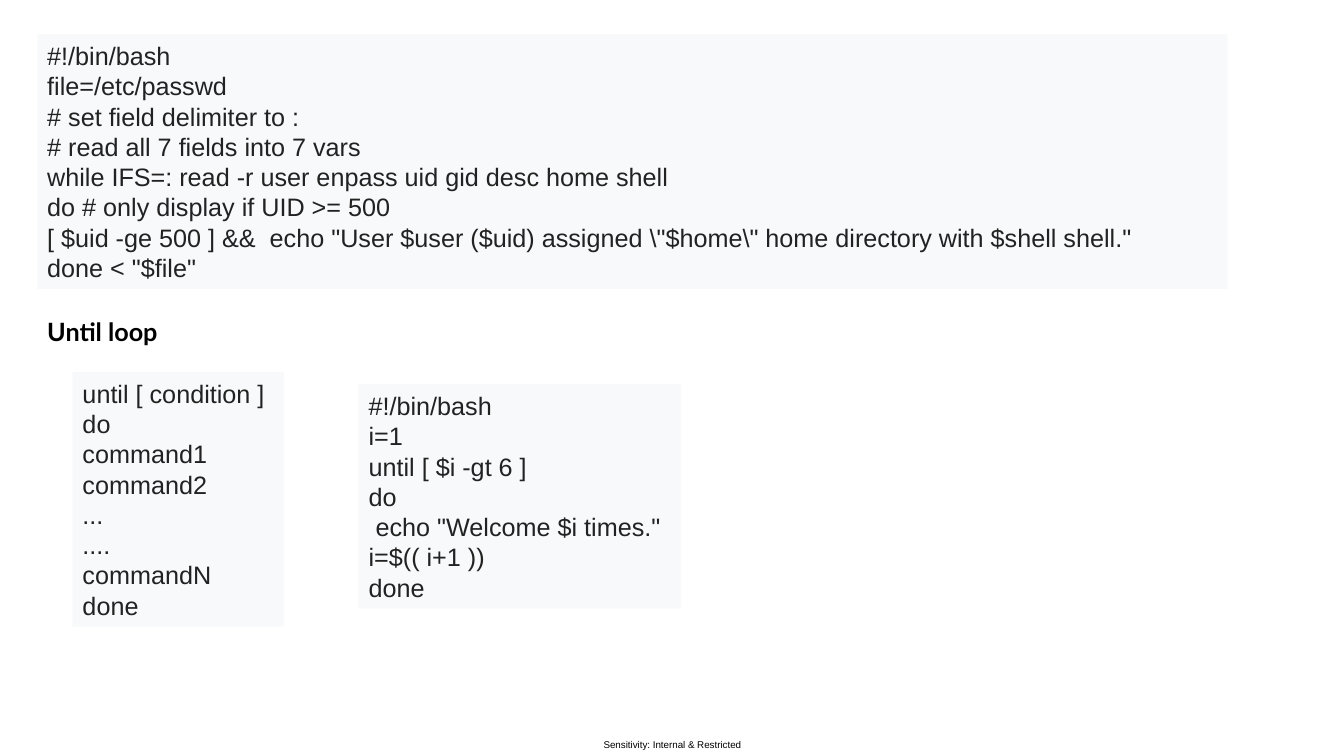
from pptx import Presentation
from pptx.dml.color import RGBColor
from pptx.enum.shapes import MSO_SHAPE
from pptx.enum.text import MSO_ANCHOR, MSO_AUTO_SIZE, PP_ALIGN
from pptx.util import Cm, Pt

RECTANGLE = MSO_SHAPE.RECTANGLE
TOP, MIDDLE = MSO_ANCHOR.TOP, MSO_ANCHOR.MIDDLE
LEFT, CENTER = PP_ALIGN.LEFT, PP_ALIGN.CENTER
NO_AUTOFIT = MSO_AUTO_SIZE.NONE

# Content
HEADING = "Until loop"
SENSITIVITY = "Sensitivity: Internal & Restricted"

WHILE_SCRIPT = r'''#!/bin/bash
file=/etc/passwd
# set field delimiter to :
# read all 7 fields into 7 vars
while IFS=: read -r user enpass uid gid desc home shell
do # only display if UID >= 500
[ $uid -ge 500 ] &&  echo "User $user ($uid) assigned \"$home\" home directory with $shell shell."
done < "$file"'''

UNTIL_SYNTAX = '''until [ condition ]
do
command1
command2
...
....
commandN
done'''

UNTIL_SCRIPT = '''#!/bin/bash
i=1
until [ $i -gt 6 ]
do
 echo "Welcome $i times."
i=$(( i+1 ))
done'''

# Code, left, top and width in cm, wrapping
CODE_BLOCKS = [
    (WHILE_SCRIPT, 0.94, 0.86, 30.0, True),
    (UNTIL_SYNTAX, 1.83, 9.37, 5.33, False),
    (UNTIL_SCRIPT, 9.04, 9.68, 8.13, False),
]
LINE_HEIGHT = 0.77
INSET_X, INSET_Y = 0.25, 0.13


def color(hex_value):
    return RGBColor.from_string(hex_value)


def write(shape, text, size=18, font="Arial", ink="222222", bold=False,
          align=LEFT, anchor=MIDDLE, wrap=False, inset=(INSET_X, INSET_Y)):
    frame = shape.text_frame
    frame.text = text
    frame.word_wrap = wrap
    frame.auto_size = NO_AUTOFIT
    frame.vertical_anchor = anchor
    frame.margin_left = frame.margin_right = Cm(inset[0])
    frame.margin_top = frame.margin_bottom = Cm(inset[1])
    for paragraph in frame.paragraphs:
        paragraph.alignment = align
        paragraph.font.size = Pt(size)
        paragraph.font.name = font
        paragraph.font.bold = bold
        paragraph.font.color.rgb = color(ink)


def add_code(slide, code, left, top, width, wrap):
    height = LINE_HEIGHT * len(code.splitlines()) + 2 * INSET_Y
    block = slide.shapes.add_shape(RECTANGLE, Cm(left), Cm(top), Cm(width), Cm(height))
    block.shadow.inherit = False
    block.fill.solid()
    block.fill.fore_color.rgb = color("F8F9FA")
    block.line.fill.background()
    write(block, code, wrap=wrap)


def main():
    presentation = Presentation()
    presentation.slide_width, presentation.slide_height = Cm(33.87), Cm(19.05)
    slide = presentation.slides.add_slide(presentation.slide_layouts[5])

    # Heading
    title = slide.shapes.title
    title.left, title.top, title.width, title.height = Cm(0.94), Cm(7.85), Cm(3.4), Cm(1.03)
    write(title, HEADING, font="Lato", ink="000000", bold=True, anchor=TOP)

    # Code blocks
    for block in CODE_BLOCKS:
        add_code(slide, *block)

    # Sensitivity label
    label = slide.shapes.add_textbox(Cm(14.86), Cm(18.49), Cm(4.17), Cm(0.56))
    write(label, SENSITIVITY, size=7, ink="000000", align=CENTER, inset=(0, 0))

    presentation.save("out.pptx")


if __name__ == "__main__":
    main()
